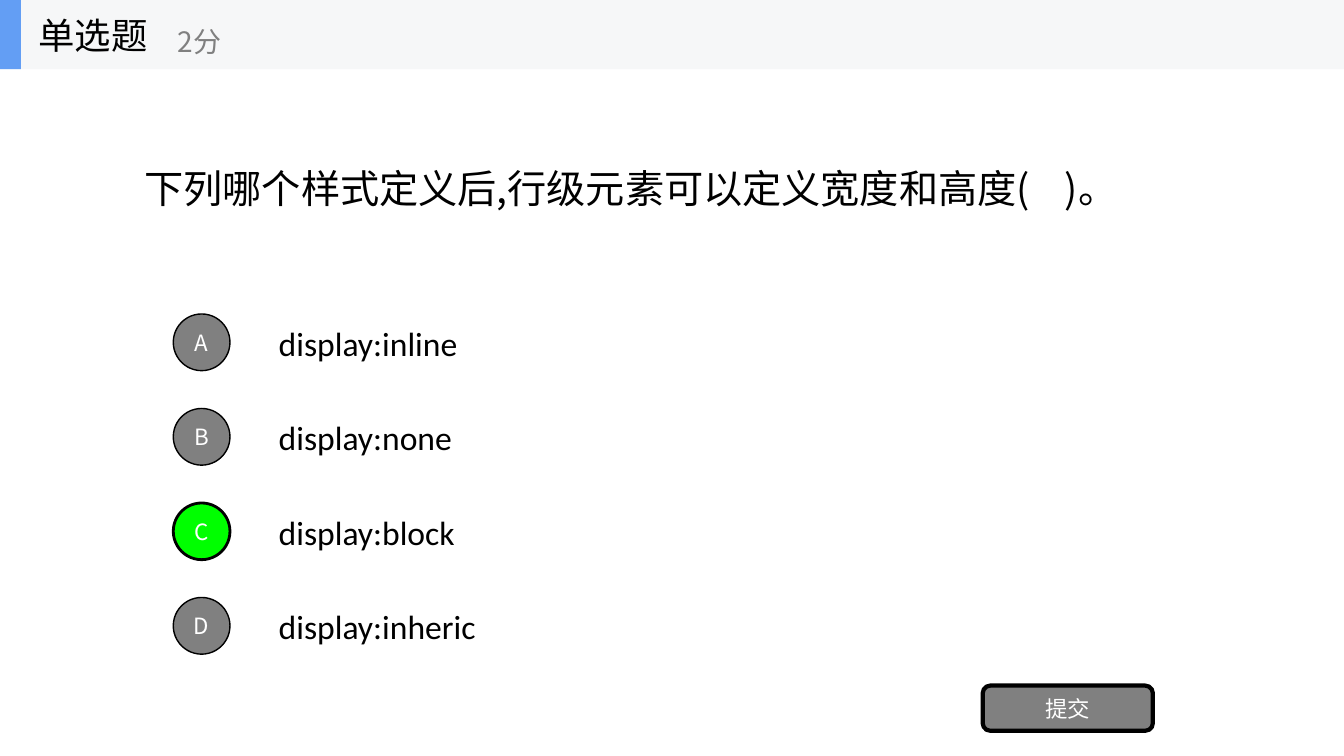
from lxml import etree
from pptx import Presentation
from pptx.dml.color import RGBColor
from pptx.enum.shapes import MSO_SHAPE
from pptx.enum.text import MSO_ANCHOR, MSO_AUTO_SIZE, PP_ALIGN
from pptx.oxml.ns import qn
from pptx.util import Pt

RECT, OVAL = MSO_SHAPE.RECTANGLE, MSO_SHAPE.OVAL
ROUND = MSO_SHAPE.ROUNDED_RECTANGLE
MIDDLE, FIXED = MSO_ANCHOR.MIDDLE, MSO_AUTO_SIZE.NONE
LEFT, CENTER = PP_ALIGN.LEFT, PP_ALIGN.CENTER

BLACK = RGBColor(0x00, 0x00, 0x00)
WHITE = RGBColor(0xFF, 0xFF, 0xFF)
GRAY = RGBColor(0x80, 0x80, 0x80)
GREEN = RGBColor(0x00, 0xFF, 0x00)
PALE = RGBColor(0xF6, 0xF7, 0xF8)
BLUE = RGBColor(0x63, 0x9E, 0xF4)
SANS, LATIN = "Noto Sans CJK SC", "Calibri"

KIND, POINTS, SUBMIT = "单选题", "2分", "提交"
QUESTION = "下列哪个样式定义后,行级元素可以定义宽度和高度(    )。"
CHOICES = [
    ("A", "display:inline"),
    ("B", "display:none"),
    ("C", "display:block"),
    ("D", "display:inheric"),
]
ANSWER = "C"

PX = 9525  # EMU, 96 px to the inch
WIDE, HIGH = 1280, 720
HEAD = 66
ROW_TOP, ROW_STEP, ROW_HIGH = 293, 90, 67
DISC = 54


def emu(*box):
    return [n * PX for n in box]


def write(shape, text, size, color=BLACK, font=SANS, align=LEFT):
    frame = shape.text_frame
    frame.auto_size = FIXED
    frame.word_wrap = True
    frame.vertical_anchor = MIDDLE
    para = frame.paragraphs[0]
    para.alignment = align
    run = para.add_run()
    run.text = text
    run.font.size = Pt(size)
    run.font.color.rgb = color
    run.font.name = font
    # East Asian glyphs take their font from a:ea
    props = run._r.get_or_add_rPr()
    etree.SubElement(props, qn("a:ea")).set("typeface", font)


def label(slide, box, text, size, **style):
    write(slide.shapes.add_textbox(*emu(*box)), text, size, **style)


def block(slide, kind, box, fill, line=0):
    """Add a flat shape; a line of 0 points means no outline."""
    shape = slide.shapes.add_shape(kind, *emu(*box))
    shape.shadow.inherit = False
    shape.fill.solid()
    shape.fill.fore_color.rgb = fill
    if line:
        shape.line.color.rgb = BLACK
        shape.line.width = Pt(line)
    else:
        shape.line.fill.background()
    return shape


def button(slide, kind, box, text, fill, line):
    shape = block(slide, kind, box, fill, line)
    frame = shape.text_frame
    frame.margin_left = frame.margin_right = 0
    frame.margin_top = frame.margin_bottom = 0
    write(shape, text, 16, color=WHITE, align=CENTER)


def main():
    deck = Presentation()
    deck.slide_width, deck.slide_height = emu(WIDE, HIGH)
    slide = deck.slides.add_slide(deck.slide_layouts[5])

    title = slide.shapes.title
    title.left, title.top, title.width, title.height = emu(128, HEAD, 1024, 225)
    write(title, QUESTION, 28)

    for row, (key, text) in enumerate(CHOICES):
        top = ROW_TOP + row * ROW_STEP
        label(slide, (256, top, 896, ROW_HIGH), text, 24, font=LATIN)
        fill, line = (GREEN, 2) if key == ANSWER else (GRAY, 1)
        disc = (165, top + (ROW_HIGH - DISC) // 2, DISC, DISC)
        button(slide, OVAL, disc, key, fill, line)
    button(slide, ROUND, (936, 653, 162, 43), SUBMIT, GRAY, 3)

    block(slide, RECT, (0, 0, WIDE, HEAD), PALE)
    block(slide, RECT, (0, 0, 20, HEAD), BLUE)
    label(slide, (27, 0, 200, HEAD), KIND, 26)
    label(slide, (160, 12, 240, 54), POINTS, 20, color=GRAY)

    deck.save("out.pptx")


if __name__ == "__main__":
    main()
